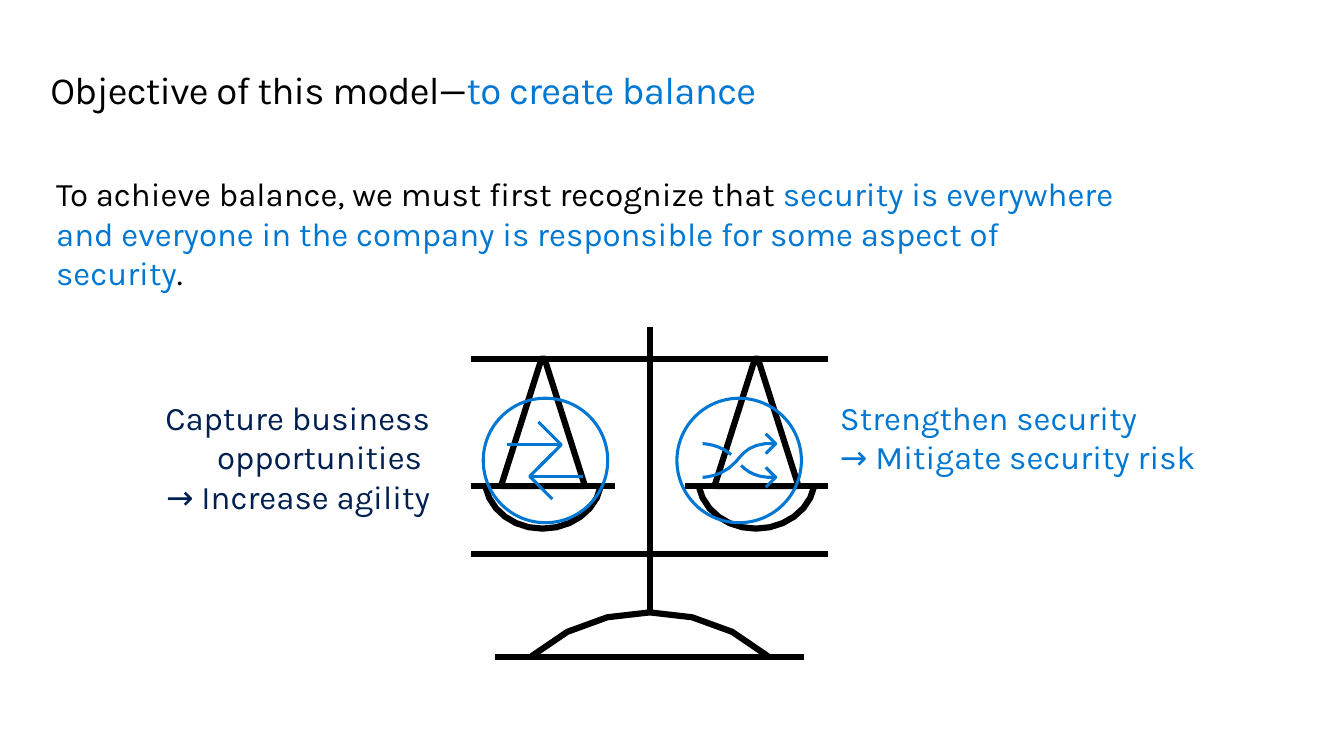
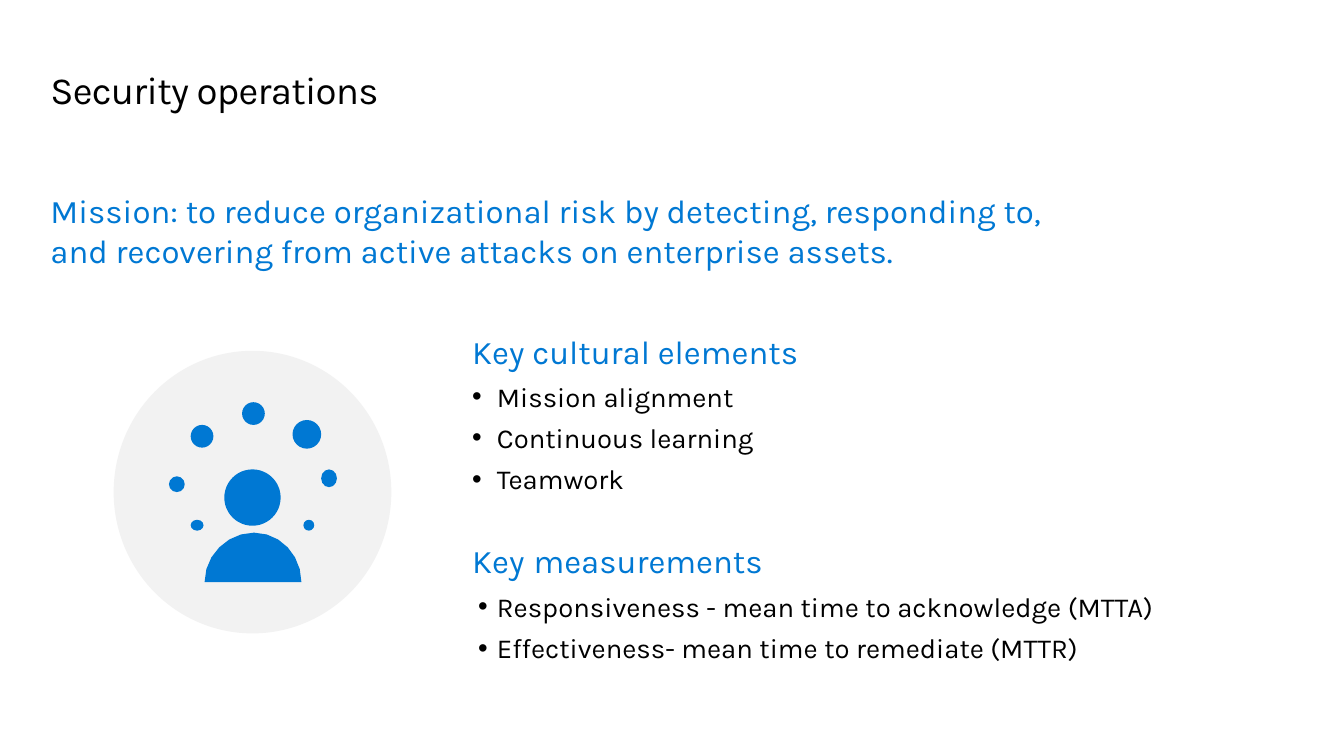
from dataclasses import dataclass

from lxml.etree import SubElement
from pptx import Presentation
from pptx.dml.color import RGBColor
from pptx.enum.shapes import MSO_CONNECTOR, MSO_SHAPE
from pptx.enum.text import MSO_ANCHOR, PP_ALIGN
from pptx.oxml.ns import qn
from pptx.util import Emu, Pt

EMU_PER_PX = 9144  # 100 px to the inch


@dataclass(frozen=True)
class Theme:
    font: str = "Karla"
    bullet_font: str = "Arial"
    black: str = "000000"
    white: str = "FFFFFF"
    blue: str = "0078D3"
    navy: str = "002050"
    pale: str = "F2F2F2"
    title_size: int = 28
    lead_size: int = 24
    body_size: int = 20
    title_leading: int = 32
    title_tracking: int = -50
    paragraph_gap: int = 6
    heavy_line: float = 4.5
    icon_line: float = 2.25


THEME = Theme()


@dataclass
class Run:
    text: str
    color: str = THEME.black
    size: int = THEME.lead_size


def px(length):
    return Emu(round(length * EMU_PER_PX))


def curve(start, *controls, steps=6):
    """Return points along joined cubic Bezier curves, three controls for each."""
    points = [start]
    for index in range(0, len(controls), 3):
        knots = (points[-1], *controls[index:index + 3])
        for step in range(1, steps + 1):
            t = step / steps
            weights = ((1 - t) ** 3, 3 * t * (1 - t) ** 2, 3 * t * t * (1 - t), t ** 3)
            points.append(tuple(sum(w * knot[axis] for w, knot in zip(weights, knots))
                                for axis in (0, 1)))
    return points


class Deck:
    def __init__(self, theme, width, height):
        self.theme = theme
        self.presentation = Presentation()
        self.presentation.slide_width = px(width)
        self.presentation.slide_height = px(height)
        self.slide = None

    def new_slide(self, *title_runs):
        self.slide = self.presentation.slides.add_slide(self.presentation.slide_layouts[6])
        frame = self.text_box((51, 69, 1261, 45))
        paragraph = self.paragraph(frame, *title_runs)
        paragraph.line_spacing = Pt(self.theme.title_leading)
        for run in paragraph.runs:
            run.font.size = Pt(self.theme.title_size)
            run.font._element.set("spc", str(self.theme.title_tracking))

    def frame(self, shape, insets, anchor):
        """Prepare a shape's wrapping text; insets run left, top, right, bottom."""
        frame = shape.text_frame
        frame.word_wrap = True
        frame.vertical_anchor = anchor
        (frame.margin_left, frame.margin_top,
         frame.margin_right, frame.margin_bottom) = map(px, insets)
        return frame

    def text_box(self, box, insets=(0, 0, 0, 0), anchor=MSO_ANCHOR.TOP):
        return self.frame(self.slide.shapes.add_textbox(*map(px, box)), insets, anchor)

    def panel(self, box, insets, fill):
        shape = self.preset(MSO_SHAPE.RECTANGLE, box, fill=fill)
        return self.frame(shape, insets, MSO_ANCHOR.MIDDLE)

    def paragraph(self, frame, *runs, align=PP_ALIGN.LEFT, gap=0):
        """Fill the first empty paragraph or add one; a newline in a run breaks the line."""
        first = frame.paragraphs[0]
        paragraph = frame.add_paragraph() if first.runs else first
        paragraph.alignment = align
        paragraph.space_after = Pt(gap)
        for item in runs:
            for number, line in enumerate(item.text.split("\n")):
                if number:
                    paragraph.add_line_break()
                run = paragraph.add_run()
                run.text = line
                run.font.name = self.theme.font
                run.font.size = Pt(item.size)
                run.font.color.rgb = RGBColor.from_string(item.color)
        return paragraph

    def bullet_list(self, box, heading_runs, items, hanging):
        gap = self.theme.paragraph_gap
        frame = self.text_box(box, (10, 10, 0, 10), MSO_ANCHOR.MIDDLE)
        self.paragraph(frame, *heading_runs, gap=gap)
        for item in items:
            paragraph = self.paragraph(frame, Run(item, size=self.theme.body_size), gap=gap)
            properties = paragraph._p.get_or_add_pPr()
            properties.set("marL", str(px(25)))
            properties.set("indent", str(-px(hanging)))
            SubElement(properties, qn("a:buFont")).set("typeface", self.theme.bullet_font)
            SubElement(properties, qn("a:buChar")).set("char", "•")

    def paint(self, shape, fill=None, line=None, weight=None):
        shape.shadow.inherit = False
        if fill:
            shape.fill.solid()
            shape.fill.fore_color.rgb = RGBColor.from_string(fill)
        else:
            shape.fill.background()
        if line:
            shape.line.color.rgb = RGBColor.from_string(line)
            shape.line.width = Pt(weight)
        else:
            shape.line.fill.background()

    def preset(self, kind, box, **style):
        shape = self.slide.shapes.add_shape(kind, *map(px, box))
        self.paint(shape, **style)
        return shape

    def ellipse(self, box, **style):
        self.preset(MSO_SHAPE.OVAL, box, **style)

    def outline(self, *strokes, **style):
        """Draw one freeform; a stroke that ends at its first point is closed."""
        strokes = [[(px(x), px(y)) for x, y in stroke] for stroke in strokes]
        builder = self.slide.shapes.build_freeform(*strokes[0][0], scale=1.0)
        for number, (start, *rest) in enumerate(strokes):
            if number:
                builder.move_to(*start)
            closed = rest[-1] == start
            builder.add_line_segments(rest[:-1] if closed else rest, close=closed)
        self.paint(builder.convert_to_shape(), **style)

    def line(self, *ends):
        connector = self.slide.shapes.add_connector(MSO_CONNECTOR.STRAIGHT, *map(px, ends))
        connector.line.color.rgb = RGBColor.from_string(self.theme.black)
        connector.line.width = Pt(self.theme.heavy_line)
        SubElement(connector._element.spPr, qn("a:effectLst"))


def draw_scales(deck):
    strokes = [[(477, 363), (838, 363)], [(658, 331), (658, 620)], [(501, 665), (814, 665)],
               curve((777, 664), (711, 605), (604, 605), (538, 664))]
    bowl = curve((491, 492), (496, 517), (520, 535), (549, 535),
                 (578, 535), (603, 517), (608, 492))
    hanger = [(551, 363), (548, 363), (507, 492), (592, 492), (551, 363)]
    pan = [(477, 492), (622, 492)]
    for shift in (0, 216):
        strokes += [[(x + shift, y) for x, y in part] for part in (pan, bowl, hanger)]
    deck.outline(*strokes, line=THEME.black, weight=THEME.heavy_line)
    deck.line(477, 561, 838, 561)


def draw_balance_icons(deck):
    stroke = {"line": THEME.blue, "weight": THEME.icon_line}
    deck.outline(curve((785, 483), (766, 484), (757, 478), (750, 471)),
                 curve((740, 460), (727, 449), (711, 449), (711, 449)),
                 curve((785, 449), (761, 447), (752, 458), (745, 467),
                       (731, 483), (711, 483), (711, 483)),
                 *([(775, y - 10), (785, y), (775, y + 10)] for y in (449, 483)),
                 **stroke)
    for left in (685, 489):
        deck.ellipse((left, 403, 126, 126), **stroke)
    deck.outline([(545, 427), (568, 450), (545, 473)], [(568, 450), (513, 450)],
                 [(559, 459), (536, 482), (559, 505)], [(536, 482), (590, 482)],
                 **stroke)


def draw_balance_slide(deck):
    deck.new_slide(Run("Objective of this model—"), Run("to create balance", THEME.blue))
    lead = deck.text_box((47, 171, 1101, 91), (10, 5, 10, 5))
    deck.paragraph(lead, Run("To achieve balance, we must first recognize that "),
                   Run("security is everywhere", THEME.blue))
    deck.paragraph(lead, Run("and everyone in the company is responsible for some aspect "
                             "of security", THEME.blue), Run("."))
    draw_scales(deck)
    draw_balance_icons(deck)
    deck.paragraph(deck.text_box((137, 402, 298, 121)),
                   Run("Capture business opportunities \n→ Increase agility", THEME.navy),
                   align=PP_ALIGN.RIGHT)
    deck.paragraph(deck.text_box((850, 402, 361, 81)),
                   Run("Strengthen security \n→ Mitigate security risk", THEME.blue))


def draw_person_icon(deck):
    deck.ellipse((115, 355, 281, 286), fill=THEME.pale)
    head = (227, 475, 57, 57)
    dots = [(296, 425, 29, 29), (171, 482, 16, 16), (193, 430, 23, 23), (245, 407, 23, 23),
            (325, 475, 16, 18), (193, 526, 13, 11), (307, 526, 11, 11)]
    for box in (head, *dots):
        deck.ellipse(box, fill=THEME.blue)
    shoulders = curve((207, 589), (207, 562), (230, 539), (257, 539),
                      (284, 539), (305, 562), (305, 589))
    deck.outline([*shoulders, shoulders[0]], fill=THEME.blue)


def draw_operations_slide(deck):
    deck.new_slide(Run("Security operations"))
    mission = deck.panel((51, 188, 1029, 90), (0, 16, 20, 16), THEME.white)
    deck.paragraph(mission, Run("Mission: to reduce organizational risk by detecting, "
                                "responding to, and recovering from active attacks on "
                                "enterprise assets.", THEME.blue))
    draw_person_icon(deck)
    deck.bullet_list((468, 320, 531, 197), [Run("Key cultural elements", THEME.blue)],
                     ["Mission alignment", "Continuous learning", "Teamwork"], hanging=25)
    deck.bullet_list((468, 542, 717, 130),
                     [Run("Key", THEME.blue), Run(" ", THEME.blue, THEME.title_size),
                      Run("measurements", THEME.blue)],
                     ["Responsiveness - mean time to acknowledge (MTTA)",
                      "Effectiveness- mean time to remediate (MTTR)"], hanging=19)


def main():
    deck = Deck(THEME, 1360, 765)
    draw_balance_slide(deck)
    draw_operations_slide(deck)
    deck.presentation.save("out.pptx")


if __name__ == "__main__":
    main()
